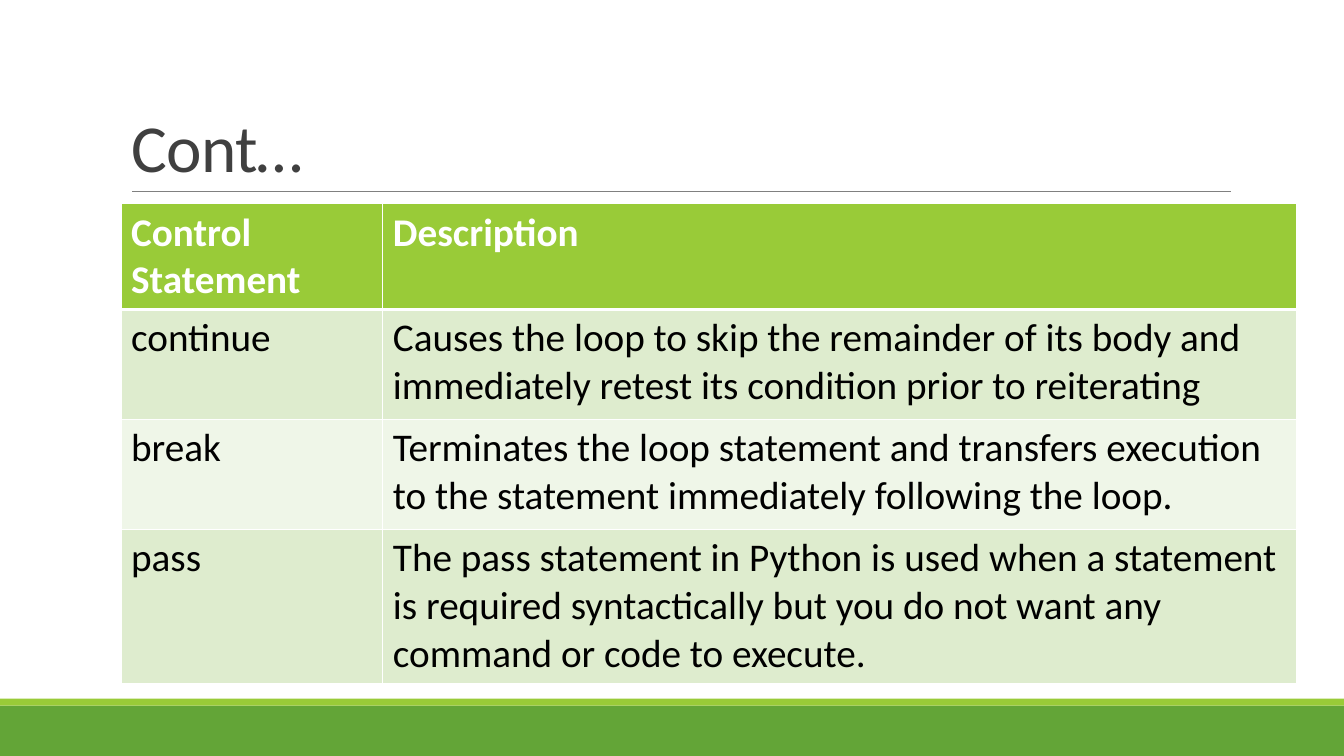
from lxml.etree import SubElement
from pptx import Presentation
from pptx.dml.color import RGBColor
from pptx.enum.shapes import MSO_CONNECTOR, MSO_SHAPE
from pptx.enum.text import MSO_ANCHOR, PP_ALIGN
from pptx.oxml.ns import qn
from pptx.util import Pt

COLORS = {
    "green": "63A537", "lime": "99CB38", "rule": "808080", "title": "404040",
    "white": "FFFFFF", "black": "000000", "band_dark": "DEECCE", "band_light": "EFF6E8",
}
FONT = "Calibri"
SLIDE_W, SLIDE_H = 960, 540

ROWS = [
    ("Control Statement", "Description"),
    ("continue", "Causes the loop to skip the remainder of its body and "
                 "immediately retest its condition prior to reiterating"),
    ("break", "Terminates the loop statement and transfers execution to the "
              "statement immediately following the loop."),
    ("pass", "The pass statement in Python is used when a statement is required "
             "syntactically but you do not want any command or code to execute."),
]
COL_WIDTHS = (187, 653)
ROW_HEIGHTS = (75, 78.5, 78.5, 109.5)


def rgb(name):
    return RGBColor.from_string(COLORS[name])


def add_footer_bands(s, top, height, stripe):
    """Green band with a thin lime stripe above it."""
    for color, y, h in (("green", top, height), ("lime", top - stripe, stripe)):
        sp = s.shapes.add_shape(MSO_SHAPE.RECTANGLE, 0, Pt(y), Pt(SLIDE_W), Pt(h))
        sp.shadow.inherit = False
        sp.fill.solid()
        sp.fill.fore_color.rgb = rgb(color)
        sp.line.fill.background()


def add_title(s, text, x, y, w, h):
    """Title at the bottom of its box, with a rule beneath."""
    sp = s.shapes.title
    sp.left, sp.top, sp.width, sp.height = Pt(x), Pt(y), Pt(w), Pt(h)
    tf = sp.text_frame
    tf.word_wrap = True
    tf.vertical_anchor = MSO_ANCHOR.BOTTOM
    p = tf.paragraphs[0]
    p.alignment = PP_ALIGN.LEFT
    p.line_spacing = 0.85
    p.font.name, p.font.size = FONT, Pt(48)
    p.font.color.rgb = rgb("title")
    r = p.add_run()
    r.text = text
    r._r.get_or_add_rPr().set("spc", "-50")

    rule = s.shapes.add_connector(
        MSO_CONNECTOR.STRAIGHT, Pt(x + 8), Pt(y + h), Pt(x + w + 1), Pt(y + h))
    rule.line.color.rgb = rgb("rule")
    rule.line.width = Pt(0.5)
    SubElement(rule._element.spPr, qn("a:effectLst"))


def set_borders(cell, top, bottom):
    """White borders; call before filling the cell."""
    tc_pr = cell._tc.get_or_add_tcPr()
    for side, width in (("L", 1), ("R", 1), ("T", top), ("B", bottom)):
        ln = SubElement(tc_pr, qn(f"a:ln{side}"), w=str(Pt(width)))
        fill = SubElement(ln, qn("a:solidFill"))
        SubElement(fill, qn("a:srgbClr"), val=COLORS["white"])


def add_statement_table(s, x, y):
    """Table of control statements with a lime header and banded rows."""
    table = s.shapes.add_table(
        len(ROWS), len(COL_WIDTHS), Pt(x), Pt(y),
        Pt(sum(COL_WIDTHS)), Pt(sum(ROW_HEIGHTS))).table
    for column, width in zip(table.columns, COL_WIDTHS):
        column.width = Pt(width)
    for i, (texts, height) in enumerate(zip(ROWS, ROW_HEIGHTS)):
        table.rows[i].height = Pt(height)
        header = i == 0
        fill = "lime" if header else "band_dark" if i % 2 else "band_light"
        for j, text in enumerate(texts):
            cell = table.cell(i, j)
            set_borders(cell, top=3 if i == 1 else 1, bottom=3 if header else 1)
            cell.fill.solid()
            cell.fill.fore_color.rgb = rgb(fill)
            cell.text = text
            font = cell.text_frame.paragraphs[0].font
            font.name, font.size, font.bold = FONT, Pt(28), header
            font.color.rgb = rgb("white" if header else "black")


def main():
    prs = Presentation()
    prs.slide_width, prs.slide_height = Pt(SLIDE_W), Pt(SLIDE_H)
    s = prs.slides.add_slide(prs.slide_layouts[5])
    add_footer_bands(s, top=504, height=36, stripe=5)
    add_title(s, "Cont…", x=86.5, y=22.5, w=792, h=114)
    add_statement_table(s, x=86.5, y=145.5)
    prs.save("out.pptx")


if __name__ == "__main__":
    main()
